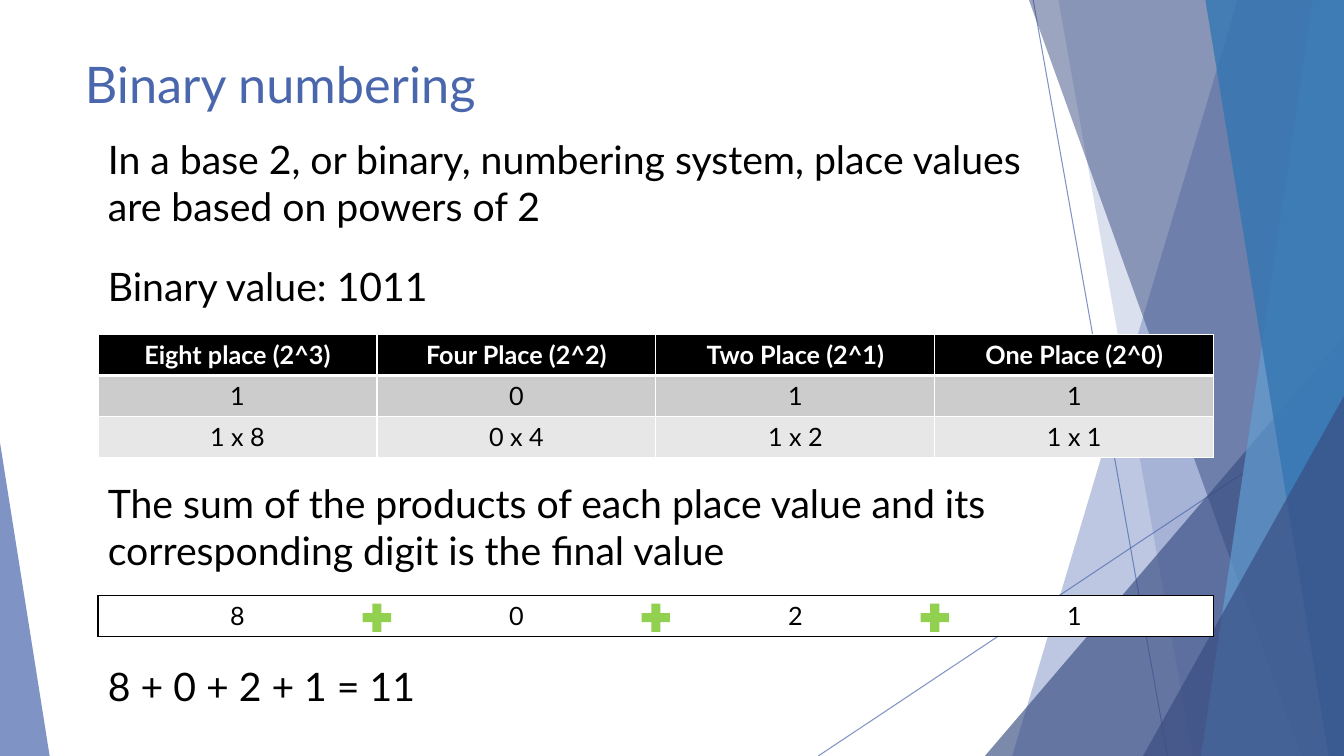
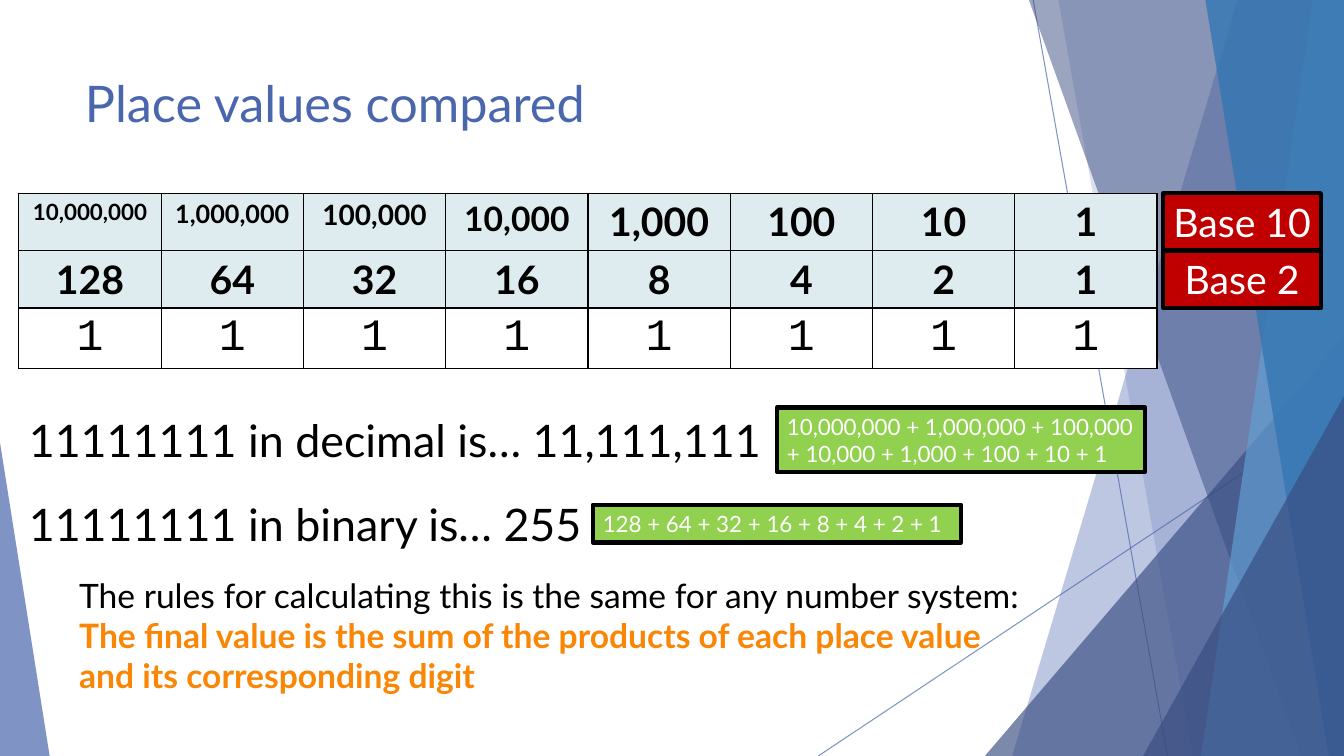
from dataclasses import dataclass

from lxml import etree
from pptx import Presentation
from pptx.dml.color import RGBColor
from pptx.enum.shapes import MSO_CONNECTOR, MSO_SHAPE
from pptx.enum.text import MSO_ANCHOR, MSO_AUTO_SIZE, PP_ALIGN
from pptx.oxml.ns import qn
from pptx.util import Pt


@dataclass(frozen=True)
class Theme:
    font: str = "Lato"
    mono: str = "Courier New"
    blue: str = "4A66AC"
    navy: str = "384C81"
    sky: str = "629DD1"
    ocean: str = "3477B2"
    black: str = "000000"
    white: str = "FFFFFF"
    dark_row: str = "CCCCCC"
    light_row: str = "E7E7E7"
    pale: str = "DEECEF"
    green: str = "92D050"
    red: str = "C00000"
    orange: str = "FA8606"
    title: int = 36
    statement: int = 32
    body: int = 28
    rule: int = 24
    cell: int = 18
    small: int = 16


T = Theme()
W, H = 960, 540

# Background: thin lines, then slanted bands (top x, bottom x)
# and triangles (left, top, width, height, apex)
LINES = [(738, 0, 834, 540), (960, 290, 584.5, 540)]
FACETS = [
    ("band", (884, 723), T.blue, 36),
    ("band", (756, 852), T.blue, 20),
    ("triangle", (703.5, 240, 256.5, 300, 1), T.navy, 66),
    ("band", (735, 929.5), T.navy, 50),
    ("band", (938, 858), T.sky, 70),
    ("band", (861, 949), T.ocean, 80),
    ("triangle", (816.5, 283, 143.5, 257, 1), T.navy, 66),
    ("triangle", (0, 316, 35.5, 224, 0), T.blue, 70),
]

# Slide 1 content
BINARY_TITLE = "Binary numbering"
BINARY_TEXTS = [  # text, top, width, height
    ("In a base 2, or binary, numbering system, place values are based on powers of 2",
     93, 688, 75),
    ("Binary value: 1011", 183.5, 255, 41),
    ("The sum of the products of each place value and its corresponding digit "
     "is the final value", 338.5, 659, 75),
    ("8 + 0 + 2 + 1 = 11", 469.5, 406, 41),
]
PLACES = [
    ["Eight place (2^3)", "Four Place (2^2)", "Two Place (2^1)", "One Place (2^0)"],
    ["1", "0", "1", "1"],
    ["1 x 8", "0 x 4", "1 x 2", "1 x 1"],
]
PRODUCTS = [["8", "0", "2", "1"]]

# Slide 2 content
COMPARE_TITLE = "Place values compared"
COMPARISON = [
    ["10,000,000", "1,000,000", "100,000", "10,000", "1,000", "100", "10", "1"],
    ["128", "64", "32", "16", "8", "4", "2", "1"],
    ["1"] * 8,
]
DECIMAL_SIZES = [16, 18, 20, 24, 28, 28, 28, 28]
BASES = ["Base 10", "Base 2"]
STATEMENTS = [  # text, top
    ("11111111 in decimal is… 11,111,111", 291),
    ("11111111 in binary is… 255", 351.5),
]
SUMS = [  # text, left, top, width, height
    ("10,000,000 + 1,000,000 + 100,000 + 10,000 + 1,000 + 100 + 10 + 1",
     555, 291, 263, 46),
    ("128 + 64 + 32 + 16 + 8 + 4 + 2 + 1", 423.5, 360.5, 263, 27),
]
RULE = [
    ("The rules for calculating this is the same for any number system:", T.black, False),
    ("The final value is the sum of the products of each place value "
     "and its corresponding digit", T.orange, True),
]


def rgb(color):
    return RGBColor.from_string(color)


def pts(*values):
    return [Pt(v) for v in values]


def style(p, size, color=T.black, bold=False, align=PP_ALIGN.LEFT, font=T.font):
    p.alignment = align
    p.font.name, p.font.size, p.font.bold = font, Pt(size), bold
    p.font.color.rgb = rgb(color)


def set_alpha(shape, percent):
    clr = shape.element.spPr.find(".//" + qn("a:srgbClr"))
    etree.SubElement(clr, qn("a:alpha")).set("val", str(percent * 1000))


def paint(shape, fill, line=None):
    shape.shadow.inherit = False
    shape.fill.solid()
    shape.fill.fore_color.rgb = rgb(fill)
    if line:
        shape.line.color.rgb = rgb(line)
        shape.line.width = Pt(3)
    else:
        shape.line.fill.background()


def add_facet(s, kind, geometry, color, alpha):
    if kind == "band":
        top, bottom = geometry
        builder = s.shapes.build_freeform(Pt(top), 0)
        builder.add_line_segments(
            [pts(W, 0), pts(W, H), pts(bottom, H)], close=True)
        sp = builder.convert_to_shape()
    else:
        *box, apex = geometry
        sp = s.shapes.add_shape(MSO_SHAPE.ISOSCELES_TRIANGLE, *pts(*box))
        sp.adjustments[0] = apex
    paint(sp, color)
    set_alpha(sp, alpha)
    return sp


def add_thin_line(s, ends):
    line = s.shapes.add_connector(MSO_CONNECTOR.STRAIGHT, *pts(*ends))
    line.line.color.rgb = rgb(T.blue)
    line.line.width = Pt(0.75)
    set_alpha(line, 70)
    etree.SubElement(line.element.spPr, qn("a:effectLst"))
    return line


def decorate_layout(layout, s):
    """Draw the background on s, then move it into the shared layout."""
    parts = [add_thin_line(s, ends) for ends in LINES]
    parts += [add_facet(s, *facet) for facet in FACETS]
    for i, sp in enumerate(parts):
        sp.element.find(".//" + qn("p:cNvPr")).set("id", str(100 + i))
        layout.shapes.element.insert(2 + i, sp.element)


def add_title(s, text, top):
    sp = s.shapes.title
    sp.left, sp.top, sp.width, sp.height = pts(53.5, top, 677, 67)
    tf = sp.text_frame
    tf.text = text
    tf.vertical_anchor = MSO_ANCHOR.TOP
    tf.auto_size = MSO_AUTO_SIZE.NONE
    style(tf.paragraphs[0], T.title, T.blue)


def add_text(s, paragraphs, box, size):
    tf = s.shapes.add_textbox(*pts(*box)).text_frame
    tf.word_wrap = True
    for i, (text, color, bold) in enumerate(paragraphs):
        p = tf.paragraphs[0] if i == 0 else tf.add_paragraph()
        p.text = text
        style(p, size, color, bold)


def add_label(s, text, box, fill, size, align, wrap):
    sp = s.shapes.add_shape(MSO_SHAPE.RECTANGLE, *pts(*box))
    paint(sp, fill, T.black)
    tf = sp.text_frame
    tf.word_wrap = wrap
    tf.vertical_anchor = MSO_ANCHOR.MIDDLE
    tf.text = text
    style(tf.paragraphs[0], size, T.white, align=align)


def set_borders(cell, color, widths):
    """Widths map the sides L, R, T, B to points; 0 hides a side."""
    tc_pr = cell._tc.get_or_add_tcPr()
    for i, side in enumerate("LRTB"):
        ln = etree.Element(qn("a:ln" + side), w=str(Pt(widths[side])))
        if widths[side]:
            fill = etree.SubElement(ln, qn("a:solidFill"))
            etree.SubElement(fill, qn("a:srgbClr")).set("val", color)
        else:
            etree.SubElement(ln, qn("a:noFill"))
        tc_pr.insert(i, ln)


def add_grid(s, rows, left, top, width, heights, look):
    """look(row, col) gives the fill, border colour, border widths and text style."""
    n = len(rows[0])
    frame = s.shapes.add_table(len(rows), n, *pts(left, top, width, sum(heights)))
    table = frame.table
    table.first_row = table.horz_banding = False
    for col in table.columns:
        col.width = Pt(width / n)
    for r, (row, height) in enumerate(zip(rows, heights)):
        table.rows[r].height = Pt(height)
        for c, text in enumerate(row):
            fill, border, widths, text_style = look(r, c)
            cell = table.cell(r, c)
            cell.text = text
            style(cell.text_frame.paragraphs[0], align=PP_ALIGN.CENTER, **text_style)
            cell.fill.solid()
            cell.fill.fore_color.rgb = rgb(fill)
            set_borders(cell, border, widths)


def places_look(r, c):
    fill = (T.black, T.dark_row, T.light_row)[r]
    widths = dict(L=1, R=1, T=3 if r == 1 else 1, B=3 if r == 0 else 1)
    color = T.white if r == 0 else T.black
    return fill, T.white, widths, dict(size=T.cell, color=color, bold=r == 0)


def products_look(r, c):
    last = len(PRODUCTS[0]) - 1
    widths = dict(L=int(c == 0), R=int(c == last), T=1, B=1)
    return T.white, T.black, widths, dict(size=T.cell)


def comparison_look(r, c):
    text_style = (dict(size=DECIMAL_SIZES[c], bold=True),
                  dict(size=T.body, bold=True),
                  dict(size=T.statement, font=T.mono))[r]
    return T.white if r == 2 else T.pale, T.black, dict.fromkeys("LRTB", 1), text_style


def build_binary(s):
    left, width, row, sum_top, plus = 70, 797, 29.25, 425.5, 27.5
    add_title(s, BINARY_TITLE, 34)
    for text, top, w, h in BINARY_TEXTS:
        add_text(s, [(text, T.black, False)], (left, top, w, h), T.body)
    add_grid(s, PLACES, left, 239, width, [row] * 3, places_look)
    add_grid(s, PRODUCTS, left, sum_top, width, [row], products_look)
    # Plus signs on the column boundaries
    n = len(PRODUCTS[0])
    for i in range(1, n):
        x = left + i * width / n - plus / 2
        sp = s.shapes.add_shape(MSO_SHAPE.MATH_PLUS, *pts(x, sum_top + 2, plus, plus))
        paint(sp, T.green)


def build_comparison(s):
    left, top, row = 13.5, 138, 41
    add_title(s, COMPARE_TITLE, 48)
    add_grid(s, COMPARISON, left, top, 813, [row, row, 43.5], comparison_look)
    add_text(s, RULE, (49.5, 407, 693, 124), T.rule)
    for text, y in STATEMENTS:
        add_text(s, [(text, T.black, False)], (left, y, 693, 46), T.statement)
    # Labels beside the first two rows
    for i, text in enumerate(BASES):
        add_label(s, text, (831, top + i * row, 112.5, row), T.red, T.body,
                  PP_ALIGN.CENTER, wrap=False)
    for text, *box in SUMS:
        add_label(s, text, box, T.green, T.small, PP_ALIGN.LEFT, wrap=True)


def main():
    prs = Presentation()
    prs.slide_width, prs.slide_height = pts(W, H)
    layout = prs.slide_layouts[5]
    slides = [prs.slides.add_slide(layout) for _ in range(2)]
    decorate_layout(layout, slides[0])
    build_binary(slides[0])
    build_comparison(slides[1])
    prs.save("out.pptx")


if __name__ == "__main__":
    main()
